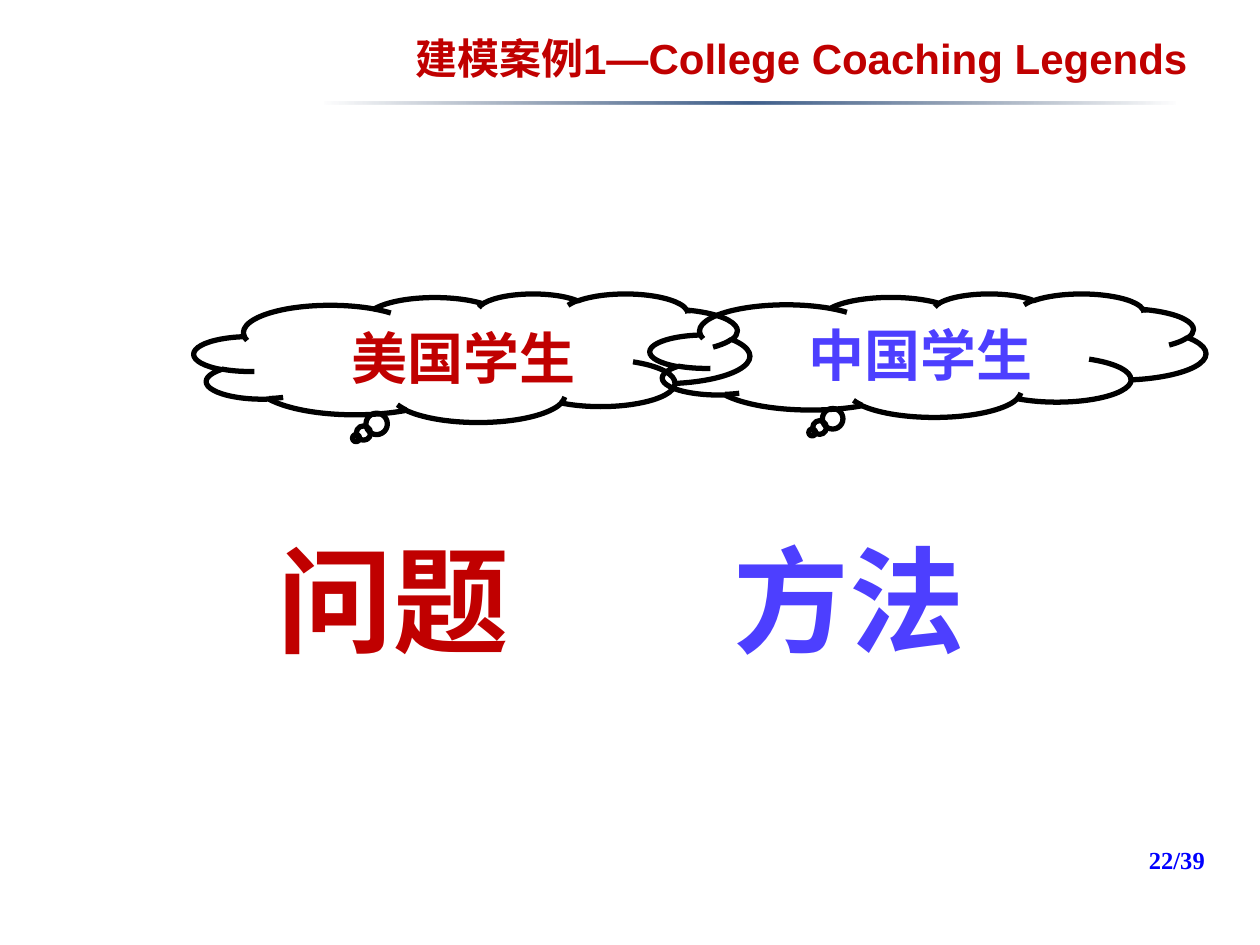
import lxml.etree
import pptx
import pptx.dml.color
import pptx.enum.shapes
import pptx.enum.text
import pptx.oxml
import pptx.oxml.ns
import pptx.util

Inches = pptx.util.Inches
CENTER = pptx.enum.text.PP_ALIGN.CENTER
LEFT = pptx.enum.text.PP_ALIGN.LEFT

THEME = {
    "red": "C00000", "violet": "4D3FFF", "blue": "0000FF", "black": "000000",
    "rule_edge": "2E4564", "rule_middle": "40608C",
    "title_size": 24, "cloud_size": 32, "word_size": 66, "page_size": 14,
    "cloud_line": 3,
    "chinese": "Noto Sans CJK JP", "title_chinese": "Noto Sans CJK SC",
    "latin": "Arial", "serif": "Times New Roman",
}

TITLE = [("建模案例", "title_chinese"), ("1—College Coaching Legends", "latin")]
PAGE_NUMBER = "22/39"
WORDS = [("问题", "red", 2.09), ("方法", "violet", 5.71)]
# label, colour, cloud box, label box
CLOUDS = [
    ("中国学生", "violet", (5.16, 2.33, 4.41, 0.98), (6.31, 2.49, 2, 0.64)),
    ("美国学生", "red", (1.54, 2.33, 4.41, 1.02), (2.68, 2.5, 2, 0.67)),
]


def color(name):
    return pptx.dml.color.RGBColor.from_string(THEME[name])


def add_text(shapes, bounds, runs, size, color_name, align=CENTER, wrap=True):
    """Add a one-line box; runs are (text, theme font) pairs."""
    box = shapes.add_textbox(*map(Inches, bounds))
    frame = box.text_frame
    frame.word_wrap = wrap
    frame.vertical_anchor = pptx.enum.text.MSO_ANCHOR.MIDDLE
    para = frame.paragraphs[0]
    para.alignment = align
    for text, font in runs:
        span = para.add_run()
        span.text = text
        formats = {"name": THEME[font], "size": pptx.util.Pt(THEME[size]), "bold": True}
        for key, value in formats.items():
            setattr(span.font, key, value)
        span.font.color.rgb = color(color_name)
        east_asian = lxml.etree.SubElement(
            span.font._element, pptx.oxml.ns.qn("a:ea"))
        east_asian.set("typeface", THEME[font])


def add_fading_rule(shapes, bounds):
    """Add a thin bar that is solid in the middle and transparent at both ends."""
    bar = shapes.add_shape(
        pptx.enum.shapes.MSO_SHAPE.RECTANGLE, *map(Inches, bounds))
    bar.shadow.inherit = False
    bar.line.fill.background()
    stops = [(0, "rule_edge", 0), (50, "rule_middle", 100), (100, "rule_edge", 0)]
    stop_xml = "".join(
        f'<a:gs pos="{position * 1000}"><a:srgbClr val="{THEME[name]}">'
        f'<a:alpha val="{opacity * 1000}"/></a:srgbClr></a:gs>'
        for position, name, opacity in stops)
    gradient = pptx.oxml.parse_xml(
        f'<a:gradFill {pptx.oxml.ns.nsdecls("a")}><a:gsLst>{stop_xml}</a:gsLst>'
        '<a:lin ang="0" scaled="1"/></a:gradFill>')
    properties = bar._element.spPr
    properties.find(pptx.oxml.ns.qn("a:prstGeom")).addnext(gradient)


def add_cloud(page, label, color_name, cloud_bounds, label_bounds):
    group = page.shapes.add_group_shape()
    cloud = group.shapes.add_shape(
        pptx.enum.shapes.MSO_SHAPE.CLOUD_CALLOUT, *map(Inches, cloud_bounds))
    cloud.shadow.inherit = False
    cloud.fill.background()
    cloud.line.color.rgb = color("black")
    cloud.line.width = pptx.util.Pt(THEME["cloud_line"])
    add_text(group.shapes, label_bounds, [(label, "chinese")], "cloud_size", color_name)


def main():
    deck = pptx.Presentation()
    deck.slide_width, deck.slide_height = Inches(10), Inches(7.5)
    page = deck.slides.add_slide(deck.slide_layouts[6])
    add_fading_rule(page.shapes, (2.57, 0.81, 6.77, 0.02))
    add_text(page.shapes, (9.02, 6.66, 0.82, 0.33), [(PAGE_NUMBER, "serif")],
             "page_size", "blue", align=LEFT)
    for word, color_name, left in WORDS:
        add_text(page.shapes, (left, 4.14, 2.06, 1.21), [(word, "chinese")],
                 "word_size", color_name, wrap=False)
    for cloud in CLOUDS:
        add_cloud(page, *cloud)
    add_text(page.shapes, (2.72, 0.21, 7.28, 0.5), TITLE, "title_size", "red")
    deck.save("out.pptx")


if __name__ == "__main__":
    main()
